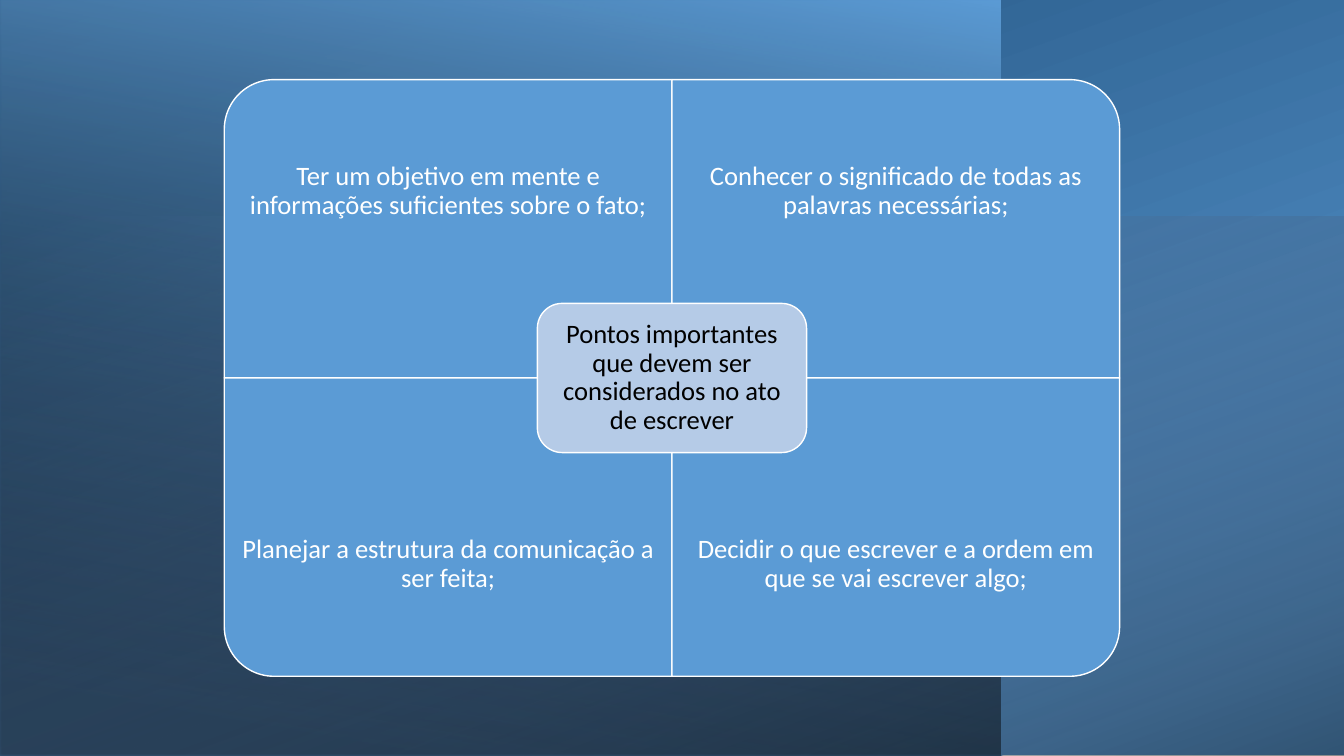
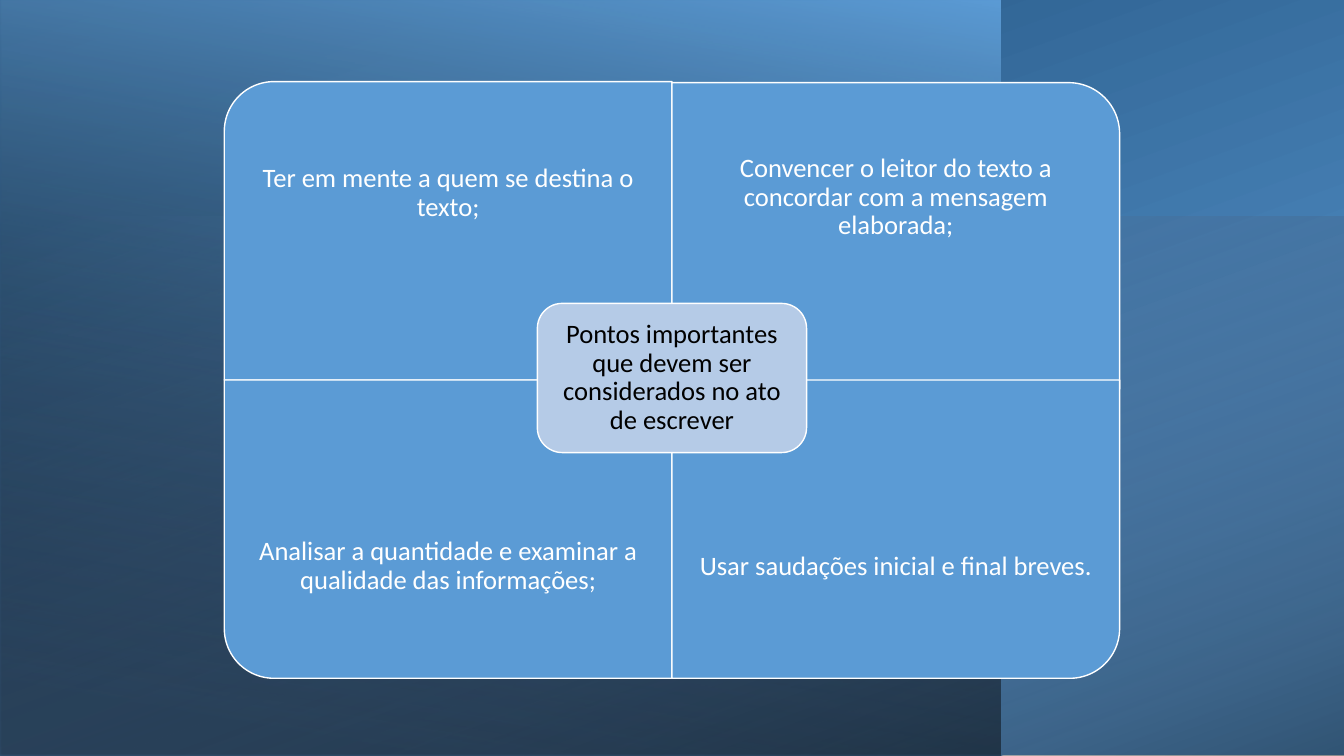
from lxml.etree import SubElement
from pptx import Presentation
from pptx.dml.color import RGBColor
from pptx.enum.shapes import MSO_SHAPE
from pptx.enum.text import MSO_ANCHOR, PP_ALIGN
from pptx.oxml.ns import qn
from pptx.util import Inches, Pt

WHITE = RGBColor(0xFF, 0xFF, 0xFF)
BLACK = RGBColor(0x00, 0x00, 0x00)
BLUE = RGBColor(0x5B, 0x9B, 0xD5)
NAVY = RGBColor(0x1F, 0x4E, 0x79)
PERIWINKLE = RGBColor(0x8F, 0xAA, 0xDC)
PALE_BLUE = RGBColor(0xB5, 0xCB, 0xE7)

SLIDE_WIDTH, SLIDE_HEIGHT = 13.33, 7.5
CENTRE_X = SLIDE_WIDTH / 2
TILE_WIDTH, TILE_HEIGHT = 4.44, 2.96
TEXT_HEIGHT = TILE_HEIGHT * 0.75
HUB_WIDTH, HUB_HEIGHT = 2.67, 1.48
INSET = 0.15

# Box, rotation, clockwise gradient angle, stops (position, colour, opacity in %)
BACKGROUND_PANELS = [
    ((2.92, -2.92, SLIDE_HEIGHT, SLIDE_WIDTH), 270, 200, [(8, BLUE, 100), (100, NAVY, 100)]),
    ((0, 0, 9.92, SLIDE_HEIGHT), 180, 80, [(8, BLACK, 52), (100, BLUE, 100)]),
    ((3.99, -1.84, 5.35, SLIDE_WIDTH), 270, 20, [(0, PERIWINKLE, 0), (100, BLACK, 46)]),
]

HUB_TEXT = "Pontos importantes que devem ser considerados no ato de escrever"

# Tops of the left column and of the top right tile, then texts row by row
DIAGRAMS = [
    (0.79, 0.79, [
        "Ter um objetivo em mente e informações suficientes sobre o fato;",
        "Conhecer o significado de todas as palavras necessárias;",
        "Planejar a estrutura da comunicação a ser feita;",
        "Decidir o que escrever e a ordem em que se vai escrever algo;",
    ]),
    (0.81, 0.82, [
        "Ter em mente a quem se destina o texto;",
        "Convencer o leitor do texto a concordar com a mensagem elaborada;",
        "Analisar a quantidade e examinar a qualidade das informações;",
        "Usar saudações inicial e final breves.",
    ]),
]


def add_plain_shape(slide, kind, box, flips=()):
    shape = slide.shapes.add_shape(kind, *map(Inches, box))
    shape.shadow.inherit = False
    for flip in flips:
        shape.element.spPr.find(qn("a:xfrm")).set(flip, "1")
    return shape


def add_gradient_panel(slide, box, rotation, angle, stops):
    panel = add_plain_shape(slide, MSO_SHAPE.RECTANGLE, box, ["flipH"])
    panel.rotation = rotation
    panel.line.fill.background()
    panel.fill.gradient()
    panel.fill.gradient_angle = 360 - angle
    for stop, (position, color, _) in zip(panel.fill.gradient_stops, stops):
        stop.position = position / 100
        stop.color.rgb = color
    colors = panel.element.spPr.iter(qn("a:srgbClr"))
    for color_element, (_, _, opacity) in zip(list(colors), stops):
        if opacity < 100:
            SubElement(color_element, qn("a:alpha")).set("val", str(opacity * 1000))


def add_outlined_shape(slide, kind, box, color, flips=()):
    shape = add_plain_shape(slide, kind, box, flips)
    shape.fill.solid()
    shape.fill.fore_color.rgb = color
    shape.line.color.rgb = WHITE
    shape.line.width = Pt(1)
    return shape


def write_centred(shape, text, color):
    frame = shape.text_frame
    frame_format = {"word_wrap": True, "vertical_anchor": MSO_ANCHOR.MIDDLE}
    for side in ("left", "top", "right", "bottom"):
        frame_format[f"margin_{side}"] = Inches(INSET)
    paragraph = frame.paragraphs[0]
    paragraph.text = text
    formats = [
        (frame, frame_format),
        (paragraph, {"alignment": PP_ALIGN.CENTER, "line_spacing": 0.9}),
        (paragraph.font, {"name": "Calibri", "size": Pt(19)}),
    ]
    for target, values in formats:
        for name, value in values.items():
            setattr(target, name, value)
    paragraph.font.color.rgb = color


def add_tile(slide, row, column, top, height, text):
    """Draw a tile whose rounded corner faces outwards, with its text away from the hub."""
    left = CENTRE_X + (column - 1) * TILE_WIDTH
    flips = [name for name, needed in (("flipH", column == 0), ("flipV", row == 1)) if needed]
    add_outlined_shape(slide, MSO_SHAPE.ROUND_1_RECTANGLE,
                       (left, top, TILE_WIDTH, height), BLUE, flips)
    text_top = top + row * (TILE_HEIGHT - TEXT_HEIGHT)
    text_box = slide.shapes.add_textbox(
        *map(Inches, (left, text_top, TILE_WIDTH, height * 0.75)))
    write_centred(text_box, text, WHITE)


def add_matrix(slide, top, top_right, texts):
    for index, text in enumerate(texts):
        row, column = divmod(index, 2)
        tile_top, height = top + row * TILE_HEIGHT, TILE_HEIGHT
        if index == 1 and top_right != top:
            tile_top, height = top_right, 3.04
        add_tile(slide, row, column, tile_top, height, text)
    hub_box = (CENTRE_X - HUB_WIDTH / 2, (SLIDE_HEIGHT - HUB_HEIGHT) / 2, HUB_WIDTH, HUB_HEIGHT)
    hub = add_outlined_shape(slide, MSO_SHAPE.ROUNDED_RECTANGLE, hub_box, PALE_BLUE)
    write_centred(hub, HUB_TEXT, BLACK)


def main():
    presentation = Presentation()
    presentation.slide_width = Inches(SLIDE_WIDTH)
    presentation.slide_height = Inches(SLIDE_HEIGHT)
    blank_layout = presentation.slide_layouts[6]
    for diagram in DIAGRAMS:
        slide = presentation.slides.add_slide(blank_layout)
        for panel in BACKGROUND_PANELS:
            add_gradient_panel(slide, *panel)
        add_matrix(slide, *diagram)
    presentation.save("out.pptx")


if __name__ == "__main__":
    main()
